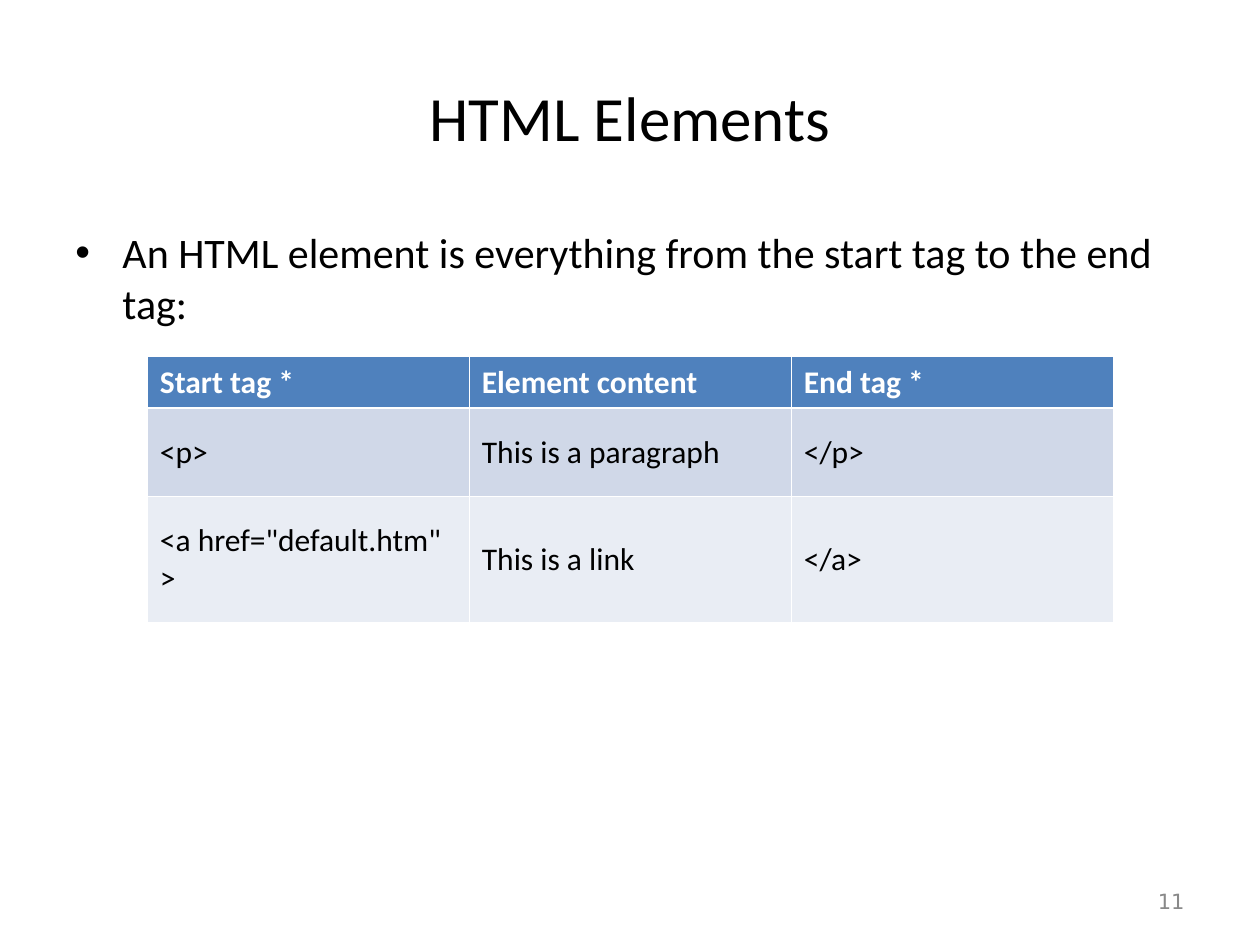
from lxml import etree
from pptx import Presentation
from pptx.dml.color import RGBColor
from pptx.enum import text
from pptx.oxml import ns
from pptx.util import Cm, Pt


def style(par, size, hue, face="Calibri", bold=False):
    par.font.size, par.font.name, par.font.bold = Pt(size), face, bold
    par.font.color.rgb = RGBColor.from_string(hue)


def add_box(words, left, top, width, height, anchor):
    frame = slide.shapes.add_textbox(Cm(left), Cm(top), Cm(width), Cm(height)).text_frame
    frame.word_wrap = True
    frame.vertical_anchor = anchor
    frame.text = words
    return frame.paragraphs[0]


deck = Presentation()
deck.slide_width, deck.slide_height = Cm(25.4), Cm(19.05)
slide = deck.slides.add_slide(deck.slide_layouts[6])
mid, top = text.MSO_ANCHOR.MIDDLE, text.MSO_ANCHOR.TOP

# Title
title = add_box("HTML Elements", 1.27, 0.76, 22.86, 3.18, mid)
title.alignment = text.PP_ALIGN.CENTER
style(title, 36, "000000")

# Bullet point
point = add_box("An HTML element is everything from the start tag to the end tag:",
                1.27, 4.45, 22.86, 12.57, top)
props = point._p.get_or_add_pPr()
props.set("marL", str(Cm(0.95)))
props.set("indent", str(-Cm(0.95)))
etree.SubElement(props, ns.qn("a:buFont"), typeface="Arial")
etree.SubElement(props, ns.qn("a:buChar"), char="•")
style(point, 24, "000000")

# Slide number
number = add_box("11", 18.21, 17.65, 5.92, 1.02, mid)
number.alignment = text.PP_ALIGN.RIGHT
style(number, 12, "898989", "DejaVu Sans")

# Table: height, fill, font colour and words of each row
rows = [
    (1.04, "4F81BD", "FFFFFF", ["Start tag *", "Element content", "End tag *"]),
    (1.78, "D0D8E8", "000000", ["<p>", "This is a paragraph", "</p>"]),
    (2.54, "E9EDF4", "000000", ['<a href="default.htm" >', "This is a link", "</a>"]),
]
grid = slide.shapes.add_table(3, 3, Cm(2.97), Cm(7.19), Cm(19.47), Cm(5.36)).table
for col in grid.columns:
    col.width = Cm(6.49)
for r, (height, fill, hue, words) in enumerate(rows):
    grid.rows[r].height = Cm(height)
    for c, word in enumerate(words):
        cell = grid.cell(r, c)
        cell.text = word
        cell.vertical_anchor = mid
        style(cell.text_frame.paragraphs[0], 18, hue, bold=r == 0)

        # White borders, thicker under the header
        for side in "LRTB":
            thick = (r, side) in [(0, "B"), (1, "T")]
            line = etree.SubElement(cell._tc.get_or_add_tcPr(), ns.qn("a:ln" + side),
                                    w=str(Pt(1.47 if thick else 0.45)))
            paint = etree.SubElement(line, ns.qn("a:solidFill"))
            etree.SubElement(paint, ns.qn("a:srgbClr"), val="FFFFFF")
        cell.fill.solid()
        cell.fill.fore_color.rgb = RGBColor.from_string(fill)

deck.save("out.pptx")
